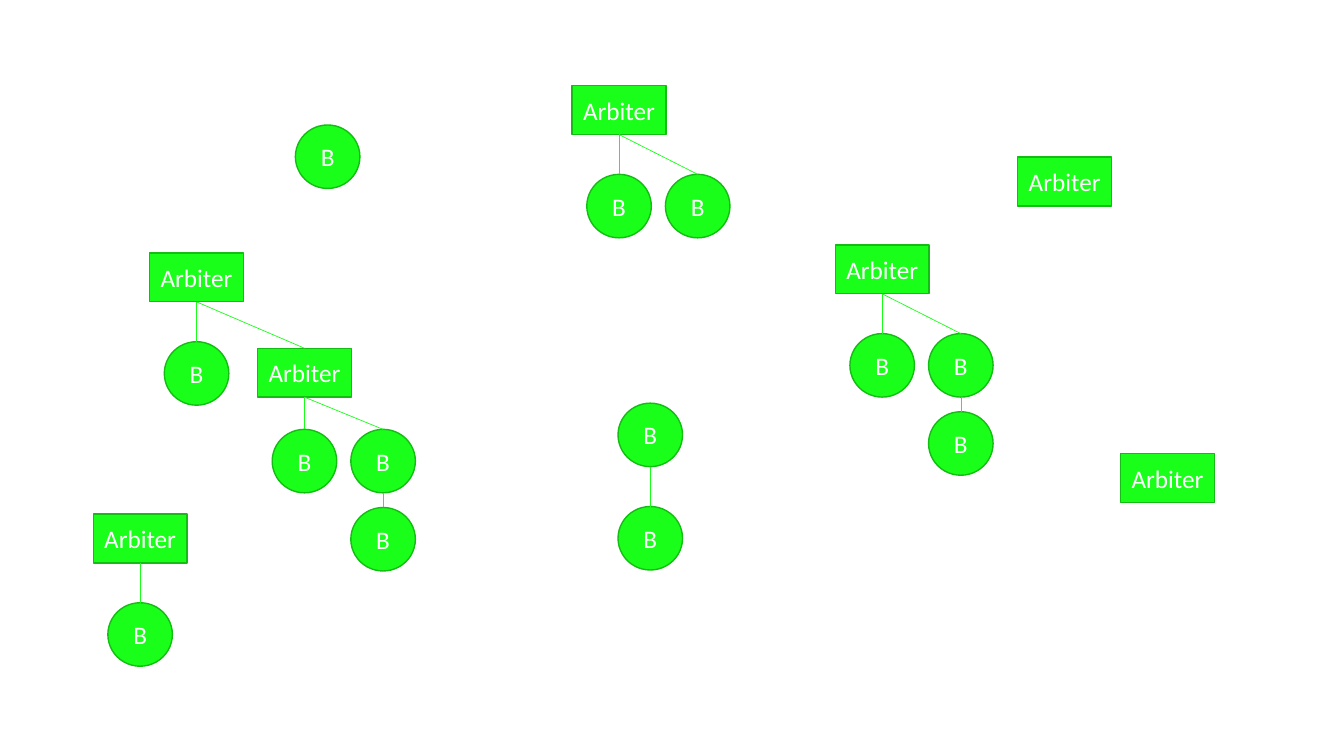
import dataclasses

import lxml.etree
import pptx
import pptx.dml.color
import pptx.enum.shapes
import pptx.enum.text
import pptx.oxml.ns
import pptx.util


@dataclasses.dataclass(frozen=True)
class Theme:
    """Colours, type and line sizes of the slide."""
    fill: str = "1AFF1A"
    outline: str = "13BD13"
    text: str = "FFFFFF"
    font: str = "Calibri"
    text_size: float = 18
    outline_width: float = 1
    link_width: float = 0.5


@dataclasses.dataclass(frozen=True)
class Kind:
    """Label, outline and size in grid cells."""
    label: str
    shape: pptx.enum.shapes.MSO_SHAPE
    width: float
    height: float


@dataclasses.dataclass(frozen=True)
class Node:
    """A tree node, offset in cells from the bottom centre of its parent."""
    kind: Kind
    across: float
    down: float
    children: tuple = ()


THEME = Theme()
GRID_ROWS = 75
ARBITER = Kind("Arbiter", pptx.enum.shapes.MSO_SHAPE.RECTANGLE, 9.3, 4.85)
BLOCK = Kind("B", pptx.enum.shapes.MSO_SHAPE.OVAL, 6.4, 6.3)
NEXT = 7.8
NEAR, MIDDLE, FAR = 1.45, 3.2, 3.95

CHAIN = Node(BLOCK, 0, NEAR)
SUBTREE = Node(ARBITER, 10.7, 4.6, (
    Node(BLOCK, 0, MIDDLE), Node(BLOCK, NEXT, MIDDLE, (CHAIN,))))
FIRST_BLOCK = Node(BLOCK, 0, FAR)
TREES = (
    Node(ARBITER, 61.4, 8.5, (FIRST_BLOCK, Node(BLOCK, NEXT, FAR))),
    Node(ARBITER, 87.5, 24.3, (FIRST_BLOCK, Node(BLOCK, NEXT, FAR, (CHAIN,)))),
    Node(ARBITER, 19.5, 25.1, (FIRST_BLOCK, SUBTREE)),
    Node(ARBITER, 13.9, 51, (FIRST_BLOCK,)),
    Node(BLOCK, 32.5, 12.4),
    Node(BLOCK, 64.5, 40, (FIRST_BLOCK,)),
    Node(ARBITER, 105.6, 15.6),
    Node(ARBITER, 115.8, 45),
)


def colour(value):
    """Return the colour for a hexadecimal value."""
    return pptx.dml.color.RGBColor.from_string(value)


def write_text(shape, text, size=THEME.text_size, font=THEME.font, ink=THEME.text):
    """Write one centred line of text in a shape."""
    frame = shape.text_frame
    frame.word_wrap = False
    frame.vertical_anchor = pptx.enum.text.MSO_ANCHOR.MIDDLE
    para = frame.paragraphs[0]
    para.alignment = pptx.enum.text.PP_ALIGN.CENTER
    span = para.add_run()
    span.text = text
    span.font.size = pptx.util.Pt(size)
    span.font.name = font
    span.font.color.rgb = colour(ink)


def draw_link(page, parent, child):
    """Draw a line from the bottom of a parent to the top of its child."""
    link = page.shapes.add_connector(
        pptx.enum.shapes.MSO_CONNECTOR.STRAIGHT,
        parent.left + parent.width // 2, parent.top + parent.height,
        child.left + child.width // 2, child.top)
    link.line.color.rgb = colour(THEME.fill)
    link.line.width = pptx.util.Pt(THEME.link_width)
    lxml.etree.SubElement(link._element.spPr, pptx.oxml.ns.qn("a:effectLst"))


def draw_node(page, node, centre, top, cell):
    """Draw one node with its label."""
    kind = node.kind
    left = centre - kind.width * cell / 2
    shape = page.shapes.add_shape(
        kind.shape, round(left), round(top), round(kind.width * cell), round(kind.height * cell))
    shape.shadow.inherit = False
    shape.fill.solid()
    shape.fill.fore_color.rgb = colour(THEME.fill)
    shape.line.color.rgb = colour(THEME.outline)
    shape.line.width = pptx.util.Pt(THEME.outline_width)
    write_text(shape, kind.label)
    return shape


def draw_tree(page, node, origin_x, origin_y, cell):
    """Draw a node and everything below it, measured from an origin."""
    centre = origin_x + node.across * cell
    top = origin_y + node.down * cell
    shape = draw_node(page, node, centre, top, cell)
    for child in node.children:
        child_shape = draw_tree(page, child, centre, top + node.kind.height * cell, cell)
        draw_link(page, shape, child_shape)
    return shape


def draw_forest(page, box):
    """Draw all trees on a square grid that fills the height of the box."""
    left, top, _, height = box
    for tree in TREES:
        draw_tree(page, tree, left, top, height / GRID_ROWS)


def main():
    """Build the deck and save it."""
    deck = pptx.Presentation()
    deck.slide_width = pptx.util.Inches(13.33)
    deck.slide_height = pptx.util.Inches(7.5)
    page = deck.slides.add_slide(deck.slide_layouts[6])
    draw_forest(page, (0, 0, deck.slide_width, deck.slide_height))
    deck.save("out.pptx")


if __name__ == "__main__":
    main()
